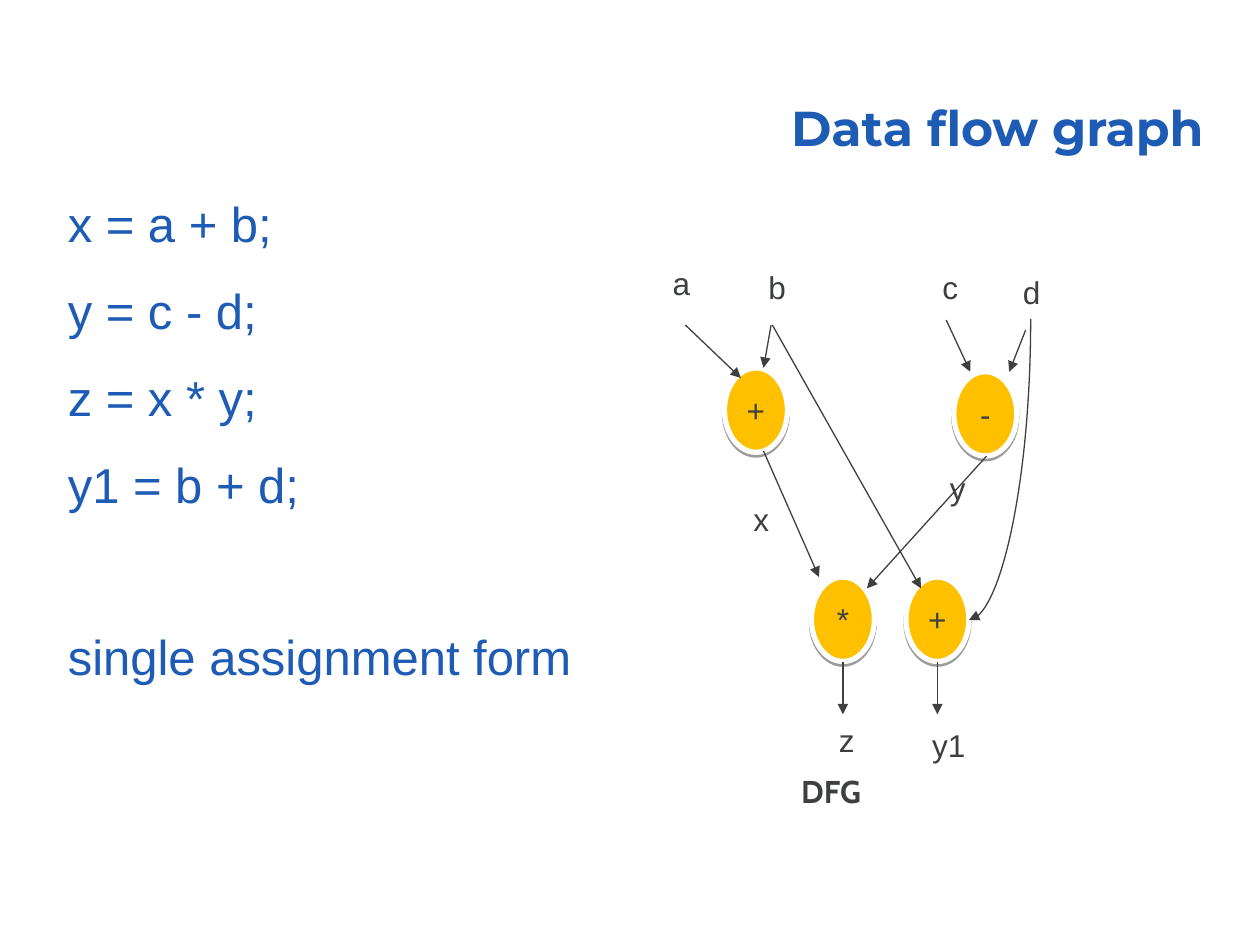
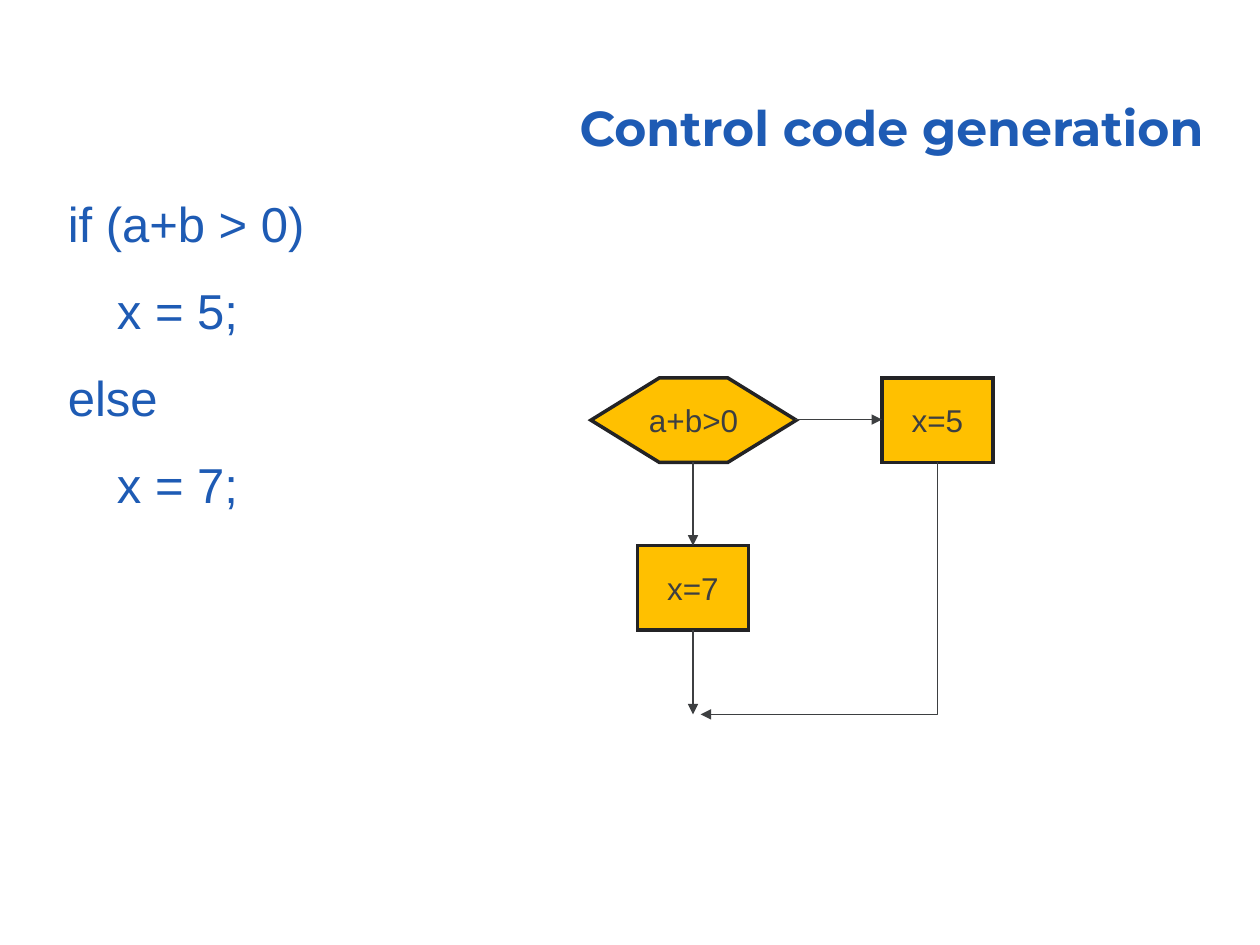
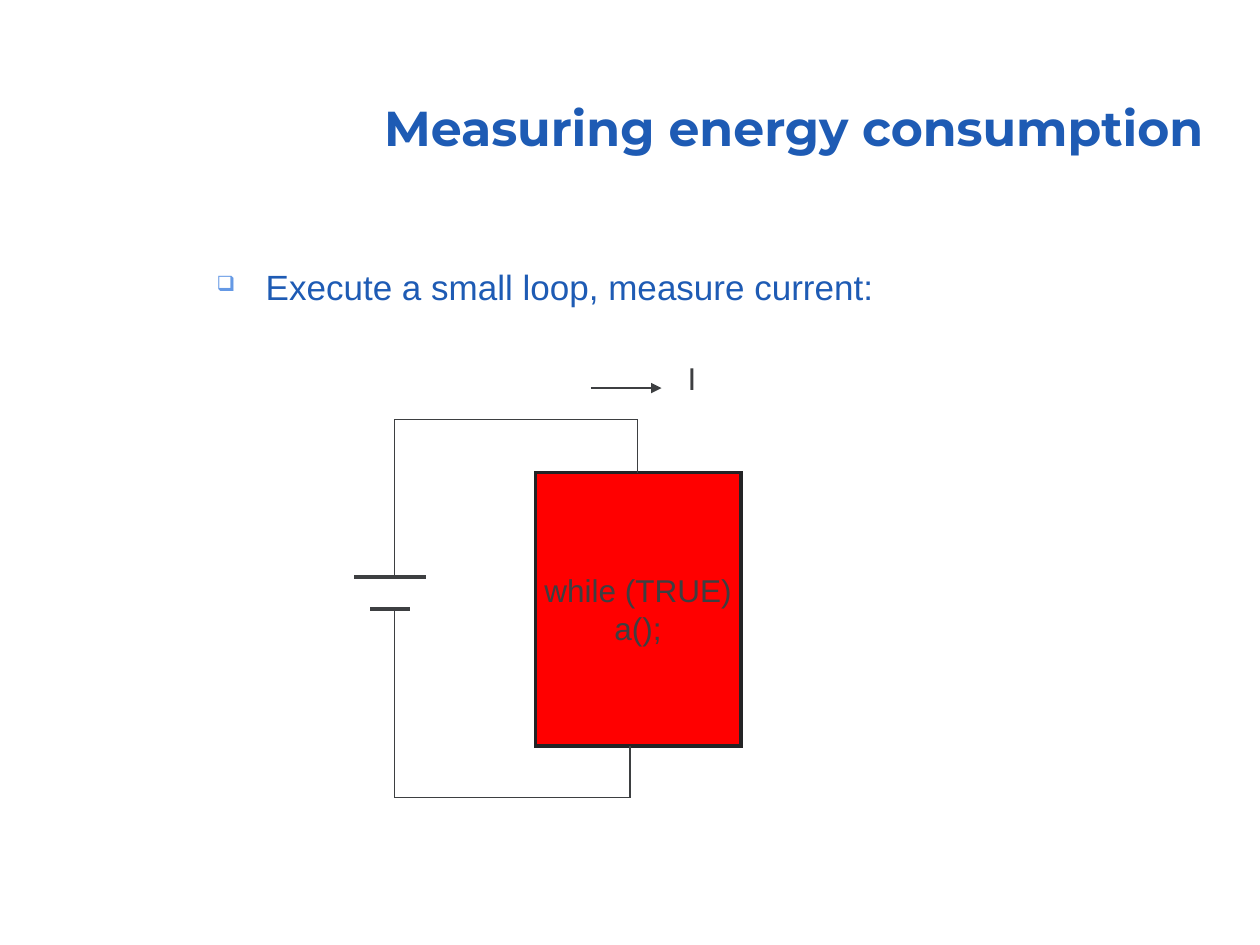
from dataclasses import dataclass

from lxml.etree import SubElement
from pptx import Presentation
from pptx.dml.color import RGBColor
from pptx.enum.shapes import MSO_CONNECTOR as Connector, MSO_SHAPE as Shape
from pptx.enum.text import MSO_ANCHOR as Anchor, MSO_AUTO_SIZE as AutoSize, PP_ALIGN as Align
from pptx.oxml.ns import qn
from pptx.util import Inches, Pt


@dataclass(frozen=True)
class Theme:
    blue: str = "1E5BB4"
    bullet: str = "6599E5"
    ink: str = "3D3F41"
    outline: str = "232325"
    amber: str = "FFC000"
    red: str = "FF0000"
    white: str = "FFFFFF"
    title_font: str = "Montserrat"
    body_font: str = "Arial"
    caption_font: str = "Cabin"
    large: int = 28
    medium: int = 20
    small: int = 18
    thin: float = 0.75
    thick: float = 2.25


THEME = Theme()
TITLE_BOX = (2.94, 0.53, 6.71, 0.77)
CODE_BOX = (0.44, 1.49, 4.54, 5.68)
BULLET_BOX = (1.62, 2.06, 6.71, 0.77)
INDENT = 0.39
LINE_GAP = 16
SECTION_GAP = 65

ASSIGNMENTS = ["x = a + b;", "y = c - d;", "z = x * y;", "y1 = b + d;"]
ASSIGNMENT_NOTE = "single assignment form"
OPERATOR_SIZE = (0.5, 0.67)
OPERATORS = [("+", 5.75, 2.92), ("-", 7.57, 2.95), ("+", 7.19, 4.58), ("*", 6.44, 4.58)]
VARIABLES = [
    ("a", 5.24, 2.05, 0.34), ("b", 6, 2.08, 0.34), ("c", 7.38, 2.08, 0.32),
    ("d", 8.02, 2.12, 0.34), ("x", 5.88, 3.92, 0.32), ("y", 7.44, 3.67, 0.32),
    ("z", 6.56, 5.67, 0.32), ("y1", 7.3, 5.71, 0.5),
]
DATA_EDGES = [
    ((5.44, 2.58), (5.88, 3)), ((6.12, 2.58), (6.06, 2.92)),
    ((7.51, 2.54), (7.7, 2.95)), ((8.14, 2.62), (8.01, 2.95)),
    ((6.06, 3.58), (6.5, 4.58)), ((7.83, 3.62), (6.88, 4.67)),
    ((6.13, 2.58), (7.31, 4.67)),
    ((6.69, 5.25), (6.69, 5.67)), ((7.44, 5.25), (7.44, 5.67)),
]
D_TO_SUM = ((8.18, 2.53), (7.69, 4.92))

BRANCH_CODE = ["if (a+b > 0)", "x = 5;", "else", "x = 7;"]
INDENTED = {1, 3}
FLOW_STEPS = [
    ("a+b>0", Shape.HEXAGON, (4.69, 3, 1.63, 0.67)),
    ("x=5", Shape.RECTANGLE, (7, 3, 0.88, 0.67)),
    ("x=7", Shape.RECTANGLE, (5.06, 4.33, 0.88, 0.67)),
]
FLOW_EDGES = [((6.31, 3.33), (7, 3.33)), ((5.5, 3.67), (5.5, 4.33)), ((5.5, 5), (5.5, 5.67))]
BRANCH_JOIN = ((7.44, 3.67), (5.56, 5.67))

LOOP_CODE = ["while (TRUE)", "a();"]
LOOP_BOX = (4.25, 3.75, 1.63, 2.17)
BATTERY_PLATES = [((2.81, 4.58), (3.38, 4.58)), ((2.94, 4.83), (3.25, 4.83))]
WIRES = [
    [(3.13, 4.58), (3.13, 3.33), (5.06, 3.33), (5.06, 3.75)],
    [(3.13, 4.83), (3.13, 6.33), (5, 6.33), (5, 5.92)],
]
CURRENT_ARROW = ((4.69, 3.08), (5.25, 3.08))


def inches(values):
    return [Inches(value) for value in values]


def color(value):
    return RGBColor.from_string(value)


def write(shape, lines, *, size=THEME.small, font=THEME.body_font, ink=THEME.ink, bold=False,
          align=Align.LEFT, anchor=Anchor.TOP, wrap=False, gap=0, spacing=None):
    """Fill the shape with one paragraph a line and return the paragraphs."""
    frame = shape.text_frame
    frame.word_wrap = wrap
    frame.vertical_anchor = anchor
    for index, line in enumerate(lines):
        paragraph = frame.paragraphs[0] if index == 0 else frame.add_paragraph()
        paragraph.alignment = align
        if spacing:
            paragraph.line_spacing = spacing
        if gap and index:
            paragraph.space_before = Pt(gap)
        run = paragraph.add_run()
        run.text = line
        run.font.size, run.font.name, run.font.bold = Pt(size), font, bold
        run.font.color.rgb = color(ink)
    return frame.paragraphs


def add_titled_slide(presentation, title):
    slide = presentation.slides.add_slide(presentation.slide_layouts[5])
    shape = slide.shapes.title
    shape.left, shape.top, shape.width, shape.height = inches(TITLE_BOX)
    write(shape, [title], size=THEME.large, font=THEME.title_font, ink=THEME.blue, bold=True,
          align=Align.RIGHT, anchor=Anchor.BOTTOM, wrap=True, spacing=0.9)
    shape.text_frame.auto_size = AutoSize.NONE
    return slide


def add_code(slide, lines):
    box = slide.shapes.add_textbox(*inches(CODE_BOX))
    return write(box, lines, size=THEME.large, ink=THEME.blue, align=Align.JUSTIFY,
                 wrap=True, gap=LINE_GAP)


def add_label(slide, text, left, top, width, **style):
    box = slide.shapes.add_textbox(*inches((left, top, width, 0.4)))
    write(box, [text], **style)
    box.text_frame.auto_size = AutoSize.SHAPE_TO_FIT_TEXT


def add_node(slide, kind, box, lines, fill=THEME.amber, outline=THEME.outline, weight=2):
    node = slide.shapes.add_shape(kind, *inches(box))
    node.shadow.inherit = False
    node.fill.solid()
    node.fill.fore_color.rgb = color(fill)
    node.line.color.rgb = color(outline)
    node.line.width = Pt(weight)
    SubElement(node.line._get_or_add_ln(), qn("a:miter"), lim="800000")
    write(node, lines, align=Align.CENTER, anchor=Anchor.MIDDLE)
    return node


def add_drop_shadow(shape):
    effects = shape.element.spPr.find(qn("a:effectLst"))
    shadow = SubElement(effects, qn("a:outerShdw"), blurRad="0", dist=str(Pt(1.6)),
                        dir="5400000", rotWithShape="0")
    black = SubElement(shadow, qn("a:srgbClr"), val="000000")
    SubElement(black, qn("a:alpha"), val="38000")


def add_line(slide, start, end, kind=Connector.STRAIGHT, weight=THEME.thin, arrow=False):
    line = slide.shapes.add_connector(kind, *inches((*start, *end)))
    line.line.color.rgb = color(THEME.ink)
    line.line.width = Pt(weight)
    if arrow:
        SubElement(line.line._get_or_add_ln(), qn("a:tailEnd"), type="triangle")
    SubElement(line.element.spPr, qn("a:effectLst"))
    return line


def add_turning_arrow(slide, start, end, kind, preset):
    """Draw an arrow that leaves downwards and arrives leftwards: a preset turned by 90 degrees."""
    (x1, y1), (x2, y2) = start, end
    middle_x, middle_y = (x1 + x2) / 2, (y1 + y2) / 2
    half_run, half_rise = (y2 - y1) / 2, (x1 - x2) / 2
    arrow = add_line(slide, (middle_x - half_run, middle_y - half_rise),
                     (middle_x + half_run, middle_y + half_rise), kind, arrow=True)
    properties = arrow.element.spPr
    properties.find(qn("a:xfrm")).set("rot", "5400000")
    properties.find(qn("a:prstGeom")).set("prst", preset)


def build_data_flow(presentation):
    slide = add_titled_slide(presentation, "Data flow graph")
    paragraphs = add_code(slide, [*ASSIGNMENTS, ASSIGNMENT_NOTE])
    paragraphs[-1].space_before = Pt(SECTION_GAP)
    for symbol, left, top in OPERATORS:
        node = add_node(slide, Shape.OVAL, (left, top, *OPERATOR_SIZE), [symbol],
                        outline=THEME.white, weight=3)
        add_drop_shadow(node)
    for variable in VARIABLES:
        add_label(slide, *variable)
    add_label(slide, "DFG", 6.26, 6.08, 0.7, font=THEME.caption_font, bold=True)
    for start, end in DATA_EDGES:
        add_line(slide, start, end, arrow=True)
    add_turning_arrow(slide, *D_TO_SUM, Connector.CURVE, "curvedConnector2")


def build_control_flow(presentation):
    slide = add_titled_slide(presentation, "Control code generation")
    for index, paragraph in enumerate(add_code(slide, BRANCH_CODE)):
        if index in INDENTED:
            paragraph._p.get_or_add_pPr().set("marL", str(Inches(INDENT)))
    for text, kind, box in FLOW_STEPS:
        node = add_node(slide, kind, box, [text])
        if kind == Shape.HEXAGON:
            node.adjustments[0] = 0.81
    for start, end in FLOW_EDGES:
        add_line(slide, start, end, arrow=True)
    add_turning_arrow(slide, *BRANCH_JOIN, Connector.ELBOW, "bentConnector2")


def build_energy(presentation):
    slide = add_titled_slide(presentation, "Measuring energy consumption")
    box = slide.shapes.add_textbox(*inches(BULLET_BOX))
    paragraph = write(box, ["Execute a small loop, measure current:"], size=THEME.medium,
                      ink=THEME.blue, align=Align.JUSTIFY, wrap=True)[0]
    properties = paragraph._p.get_or_add_pPr()
    properties.set("marL", str(Inches(INDENT)))
    properties.set("indent", str(-Inches(INDENT)))
    bullet_color = SubElement(properties, qn("a:buClr"))
    SubElement(bullet_color, qn("a:srgbClr"), val=THEME.bullet)
    SubElement(properties, qn("a:buSzPct"), val="60000")
    SubElement(properties, qn("a:buChar"), char="❑")

    add_node(slide, Shape.RECTANGLE, LOOP_BOX, LOOP_CODE, fill=THEME.red)
    for start, end in BATTERY_PLATES:
        add_line(slide, start, end, weight=THEME.thick)
    for wire in WIRES:
        for start, end in zip(wire, wire[1:]):
            add_line(slide, start, end)
    add_line(slide, *CURRENT_ARROW, arrow=True)
    add_label(slide, "I", 5.36, 2.8, 0.27)


def main():
    presentation = Presentation()
    presentation.slide_width, presentation.slide_height = Inches(10), Inches(7.5)
    build_data_flow(presentation)
    build_control_flow(presentation)
    build_energy(presentation)
    presentation.save("out.pptx")


if __name__ == "__main__":
    main()
